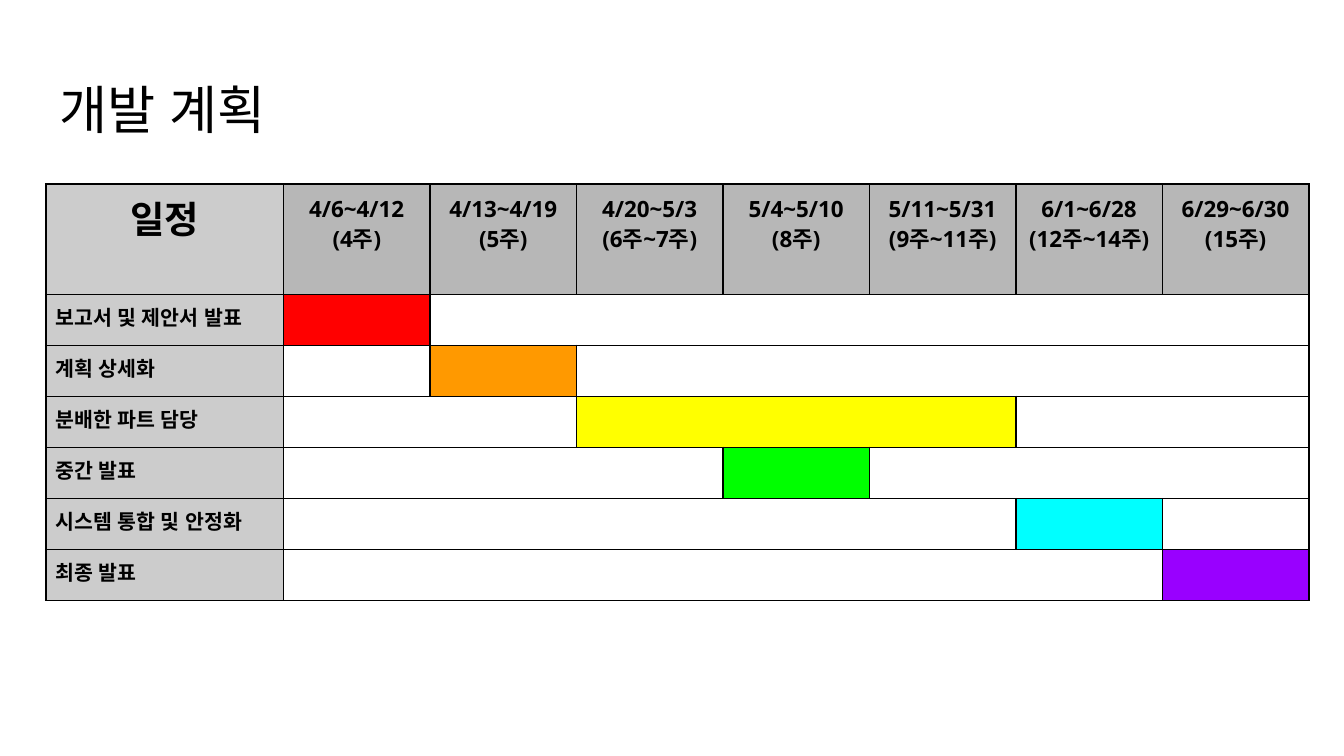
from pptx import Presentation
from pptx.dml.color import RGBColor
from pptx.enum.text import MSO_ANCHOR as Anchor, PP_ALIGN as Align
from pptx.oxml import parse_xml
from pptx.oxml.ns import nsdecls
from pptx.util import Inches, Pt

COLORS = {
    "text": "000000", "border": "000000", "label": "CCCCCC", "period": "B7B7B7",
    "red": "FF0000", "orange": "FF9900", "yellow": "FFFF00",
    "green": "00FF00", "cyan": "00FFFF", "purple": "9900FF",
}
PERIODS = [
    "4/6~4/12\n(4주)", "4/13~4/19\n(5주)", "4/20~5/3\n(6주~7주)", "5/4~5/10\n(8주)",
    "5/11~5/31\n(9주~11주)", "6/1~6/28\n(12주~14주)", "6/29~6/30\n(15주)",
]
TASKS = [
    ("보고서 및 제안서 발표", 1, 1, "red"),
    ("계획 상세화", 2, 2, "orange"),
    ("분배한 파트 담당", 3, 5, "yellow"),
    ("중간 발표", 4, 4, "green"),
    ("시스템 통합 및 안정화", 6, 6, "cyan"),
    ("최종 발표", 7, 7, "purple"),
]
LABEL_WIDTH = 1.77
HEADER_HEIGHT = 0.51


def rgb(name):
    return RGBColor.from_string(COLORS[name])


def format_paragraph(paragraph, font_name, size, alignment, bold=False):
    paragraph.alignment = alignment
    font = paragraph.font
    font.name = font_name
    font.size = Pt(size)
    font.bold = bold
    font.color.rgb = rgb("text")
    font._rPr.append(parse_xml(f'<a:ea {nsdecls("a")} typeface="{font_name}"/>'))


def add_title(slide, left, top, width, height):
    title = slide.shapes.title
    title.left, title.top = Inches(left), Inches(top)
    title.width, title.height = Inches(width), Inches(height)
    frame = title.text_frame
    frame.text = "개발 계획"
    frame.word_wrap = True
    frame.vertical_anchor = Anchor.MIDDLE
    frame.margin_left = frame.margin_right = Inches(0.1)
    frame.margin_top = frame.margin_bottom = Inches(0.1)
    format_paragraph(frame.paragraphs[0], "Arial", 28, Align.LEFT)


def format_cell(cell, text="", fill=None, size=11, alignment=Align.LEFT):
    cell.text = text
    cell.vertical_anchor = Anchor.TOP
    cell.margin_left = cell.margin_right = Inches(0.07)
    cell.margin_top = cell.margin_bottom = Inches(0.07)
    for paragraph in cell.text_frame.paragraphs:
        format_paragraph(paragraph, "Open Sans", size, alignment, bold=True)
    if fill:
        cell.fill.solid()
        cell.fill.fore_color.rgb = rgb(fill)
    else:
        cell.fill.background()
    properties = cell._tc.get_or_add_tcPr()
    for index, side in enumerate(("lnL", "lnR", "lnT", "lnB")):
        properties.insert(index, parse_xml(
            f'<a:{side} {nsdecls("a")} w="{Pt(1)}"><a:solidFill>'
            f'<a:srgbClr val="{COLORS["border"]}"/></a:solidFill></a:{side}>'))


def merge_across(table, row, first, last):
    if first < last:
        table.cell(row, first).merge(table.cell(row, last))


def add_schedule(slide, left, top, width, height):
    count = len(PERIODS)
    table = slide.shapes.add_table(
        len(TASKS) + 1, count + 1,
        Inches(left), Inches(top), Inches(width), Inches(height)).table
    for index, column in enumerate(table.columns):
        column.width = Inches((width - LABEL_WIDTH) / count if index else LABEL_WIDTH)
    for index, row in enumerate(table.rows):
        row.height = Inches((height - HEADER_HEIGHT) / len(TASKS) if index else HEADER_HEIGHT)

    format_cell(table.cell(0, 0), "일정", "label", 20, Align.CENTER)
    for column, period in enumerate(PERIODS, 1):
        format_cell(table.cell(0, column), period, "period", 12, Align.CENTER)
    for row, (task, first, last, color) in enumerate(TASKS, 1):
        format_cell(table.cell(row, 0), task, "label")
        for column in range(1, count + 1):
            format_cell(table.cell(row, column), fill=color if first <= column <= last else None)
        merge_across(table, row, 1, first - 1)
        merge_across(table, row, first, last)
        merge_across(table, row, last + 1, count)


def main():
    presentation = Presentation()
    presentation.slide_width = Inches(10)
    presentation.slide_height = presentation.slide_width * 9 // 16
    slide = presentation.slides.add_slide(presentation.slide_layouts[5])
    add_title(slide, 0.34, 0.49, 9.32, 0.63)
    add_schedule(slide, 0.34, 1.37, 9.4, 2.79)
    presentation.save("out.pptx")


if __name__ == "__main__":
    main()
